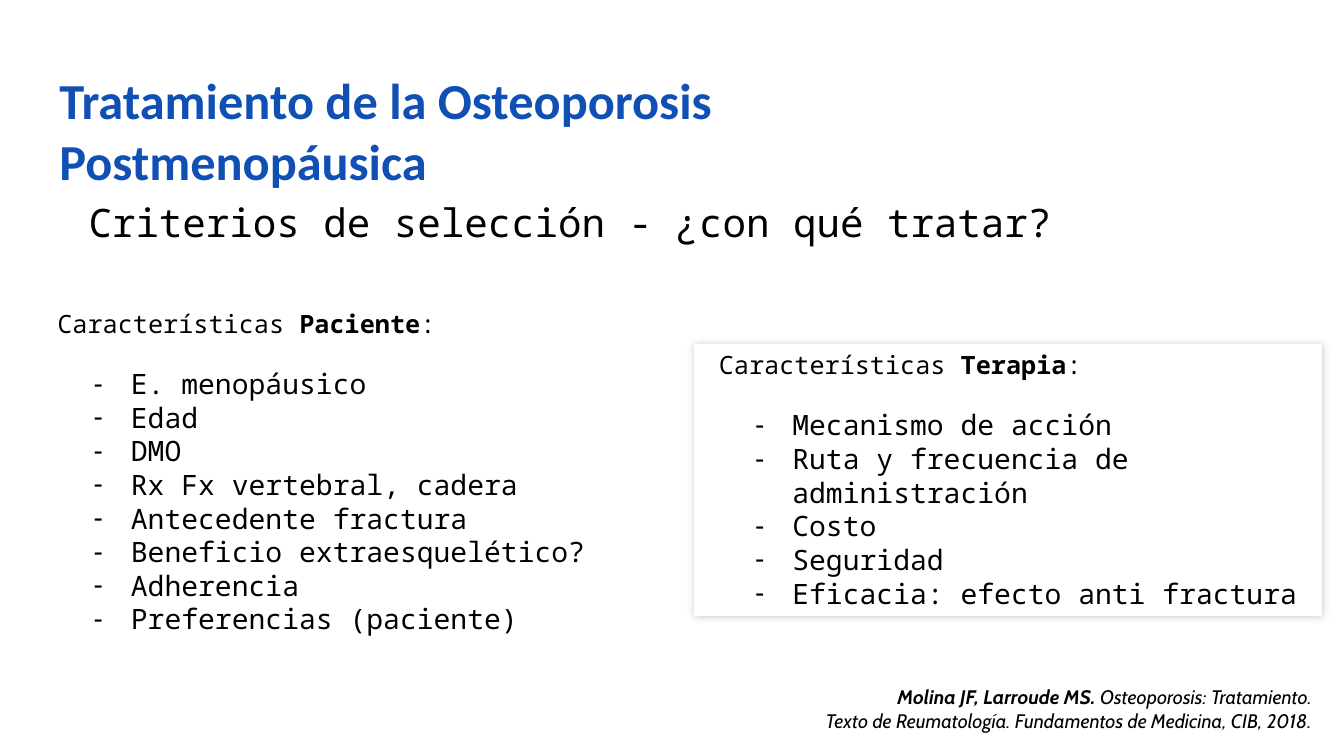
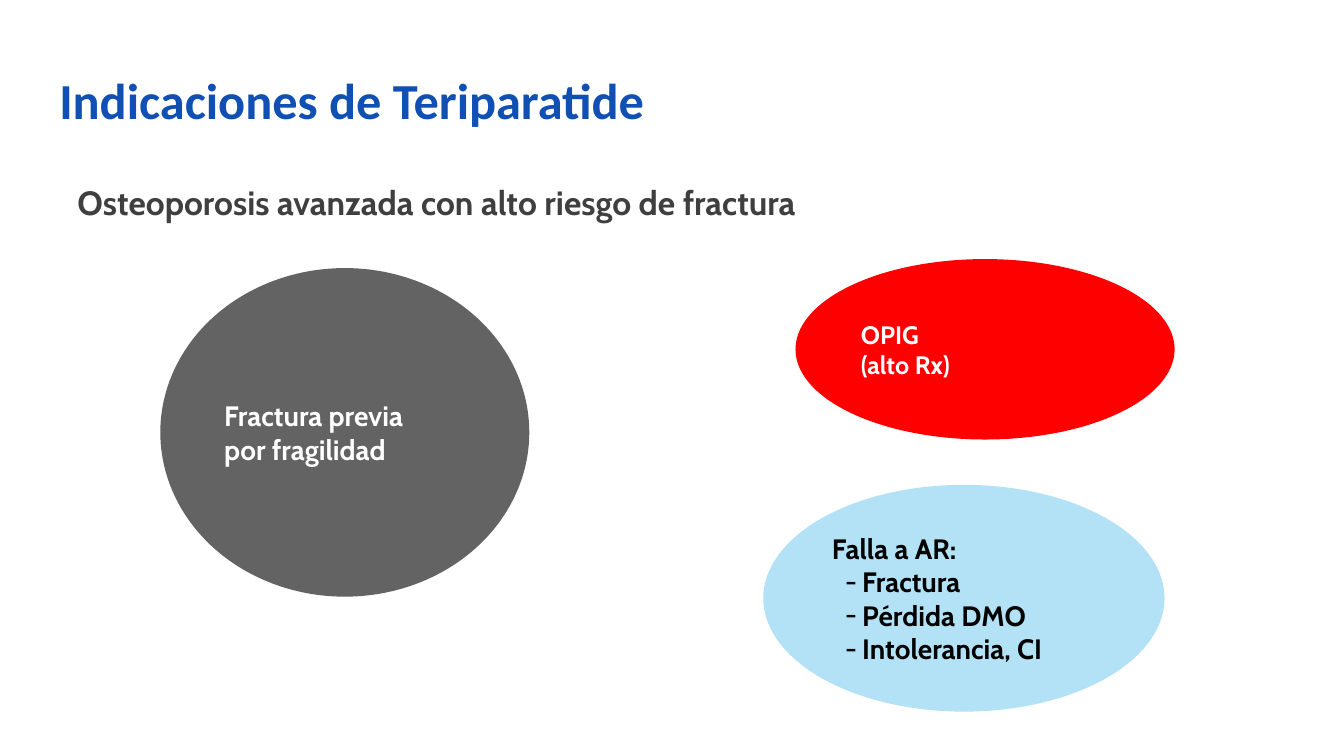
from lxml.etree import SubElement
from pptx import Presentation
from pptx.dml.color import RGBColor
from pptx.enum.shapes import MSO_SHAPE as Shape
from pptx.enum.text import MSO_ANCHOR as Anchor, PP_ALIGN as Align
from pptx.oxml.ns import qn
from pptx.util import Inches, Pt

BLUE, BLACK, WHITE, GREY, RED = "104FB3", "000000", "FFFFFF", "3F3F3F", "FF0000"
TITLE = {"name": "Calibri", "size": 36, "bold": True, "color": BLUE}
QUESTION = {"name": "Noto Sans Mono", "size": 28, "color": BLACK}
HEADING = {**QUESTION, "size": 18}
ITEM = {**QUESTION, "size": 20}
SUBTITLE = {"name": "Cabin", "size": 24, "bold": True, "color": GREY}
REFERENCE = {"name": "Cabin", "size": 14, "italic": True, "color": BLACK}
LABEL = {"name": "Cabin", "size": 20, "bold": True}

CRITERIA_TITLE = ["Tratamiento de la Osteoporosis", "Postmenopáusica"]
CRITERIA_QUESTION = "Criterios de selección - ¿con qué tratar?"
CRITERIA = [
    {"subject": "Paciente", "at": (0.33, 3.01, 6.22, 3.8), "shadow": False,
     "items": ["E. menopáusico", "Edad", "DMO", "Rx Fx vertebral, cadera",
               "Antecedente fractura", "Beneficio extraesquelético?",
               "Adherencia", "Preferencias (paciente)"]},
    {"subject": "Terapia", "at": (6.89, 3.42, 6.22, 2.69), "shadow": True,
     "items": ["Mecanismo de acción", "Ruta y frecuencia de administración",
               "Costo", "Seguridad", "Eficacia: efecto anti fractura"]},
]
AUTHORS = "Molina JF, Larroude MS. "
WORK = "Osteoporosis: Tratamiento."
BOOK = "Texto de Reumatología. Fundamentos de Medicina, CIB, 2018."

INDICATIONS_TITLE = ["Indicaciones de Teriparatide"]
INDICATIONS_SUBTITLE = "Osteoporosis avanzada con alto riesgo de fractura"
INDICATIONS = [
    {"at": (1.59, 2.66, 3.66, 3.26), "fill": "2F2F2F", "opacity": 75,
     "font": {"color": WHITE}, "lines": ["Fractura previa", "por fragilidad"]},
    {"at": (7.89, 2.57, 3.76, 1.79), "fill": RED, "opacity": 100,
     "font": {"color": WHITE, "size": 18}, "lines": ["OPIG", "(alto Rx)"]},
    {"at": (7.57, 4.81, 3.98, 2.25), "fill": "9AD8F4", "opacity": 75,
     "font": {"color": BLACK}, "lines": ["Falla a AR:"],
     "items": ["Fractura", "Pérdida DMO", "Intolerancia, CI"]},
]


def rgb(value):
    return RGBColor.from_string(value)


def add_paragraph(box, spans, style, align=Align.LEFT, before=0, margin=0,
                  bullet=None):
    """Append a line; spans is text or (text, format) pairs, bullet is (hang, font)."""
    frame = box.text_frame
    para = frame.paragraphs[0]
    if para.runs:
        para = frame.add_paragraph()
    para.alignment = align
    para.space_before = Pt(before)
    props = para._p.get_or_add_pPr()
    props.set("marL", str(Inches(margin)))
    if bullet:
        hang, font_name = bullet
        props.set("indent", str(-Inches(hang)))
        SubElement(props, qn("a:buFont"), typeface=font_name)
        SubElement(props, qn("a:buChar"), char="-")
    for text, changes in [(spans, {})] if isinstance(spans, str) else spans:
        span = para.add_run()
        span.text = text
        for key, value in {**style, **changes}.items():
            if key == "color":
                span.font.color.rgb = rgb(value)
            else:
                setattr(span.font, key, Pt(value) if key == "size" else value)


def add_text(page, at, lines, style, align=Align.LEFT, anchor=Anchor.TOP):
    box = page.shapes.add_textbox(*map(Inches, at))
    box.text_frame.word_wrap = True
    box.text_frame.vertical_anchor = anchor
    for line in lines:
        add_paragraph(box, line, style, align)


def add_filled(page, kind, at, fill, opacity=100, line=None, anchor=Anchor.TOP):
    box = page.shapes.add_shape(kind, *map(Inches, at))
    box.shadow.inherit = False
    box.fill.solid()
    box.fill.fore_color.rgb = rgb(fill)
    if opacity < 100:
        color = box._element.spPr.find(qn("a:solidFill"))[0]
        SubElement(color, qn("a:alpha"), val=str(opacity * 1000))
    if line:
        box.line.color.rgb = rgb(line)
        box.line.width = Pt(0.75)
    else:
        box.line.fill.background()
    box.text_frame.word_wrap = True
    box.text_frame.vertical_anchor = anchor
    return box


def add_soft_shadow(box):
    effects = box._element.spPr.find(qn("a:effectLst"))
    shadow = SubElement(effects, qn("a:outerShdw"), blurRad=str(Pt(6)), dist="0",
                        dir=str(315 * 60000), algn="ctr", rotWithShape="0")
    color = SubElement(shadow, qn("a:srgbClr"), val=BLACK)
    SubElement(color, qn("a:alpha"), val="20000")


def add_page(deck, title):
    page = deck.slides.add_slide(deck.slide_layouts[6])
    add_text(page, (0.49, 0.64, 10.04, 1.98), title, TITLE)
    return page


def build_criteria(deck):
    page = add_page(deck, CRITERIA_TITLE)
    add_text(page, (0.78, 1.92, 10.19, 0.57), [CRITERIA_QUESTION], QUESTION)
    for group in CRITERIA:
        box = add_filled(page, Shape.RECTANGLE, group["at"], WHITE, line=WHITE)
        if group["shadow"]:
            add_soft_shadow(box)
        heading = [("Características ", {}), (group["subject"], {"bold": True}),
                   (":", {})]
        add_paragraph(box, heading, HEADING, margin=0.14)
        for index, item in enumerate(group["items"]):
            add_paragraph(box, item, ITEM, before=0 if index else 20,
                          margin=0.87, bullet=(0.37, "Arial"))
    reference = [[(AUTHORS, {"bold": True}), (WORK, {})], BOOK]
    add_text(page, (2.22, 6.75, 10.89, 0.57), reference, REFERENCE, Align.RIGHT)


def build_indications(deck):
    page = add_page(deck, INDICATIONS_TITLE)
    add_text(page, (0.67, 1.63, 12, 0.74), [INDICATIONS_SUBTITLE], SUBTITLE,
             anchor=Anchor.MIDDLE)
    for group in INDICATIONS:
        box = add_filled(page, Shape.OVAL, group["at"], group["fill"],
                         group["opacity"], anchor=Anchor.MIDDLE)
        style = {**LABEL, **group["font"]}
        for line in group["lines"]:
            add_paragraph(box, line, style)
        for item in group.get("items", []):
            add_paragraph(box, item, style, margin=0.3, bullet=(0.17, "Cabin"))


def main():
    deck = Presentation()
    deck.slide_width, deck.slide_height = Inches(13.33), Inches(7.5)
    build_criteria(deck)
    build_indications(deck)
    deck.save("out.pptx")


if __name__ == "__main__":
    main()
